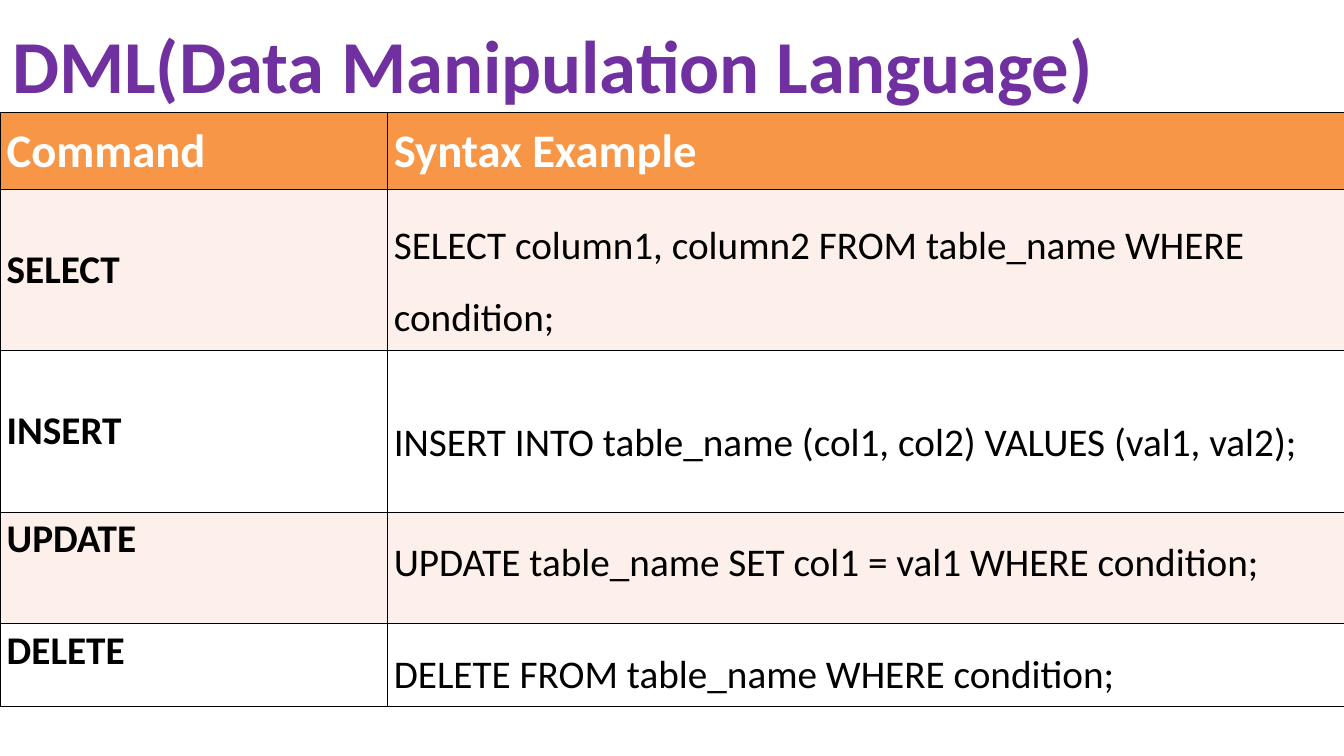
from dataclasses import dataclass

from lxml import etree
from pptx import Presentation
from pptx.dml.color import RGBColor
from pptx.enum.text import MSO_ANCHOR, MSO_AUTO_SIZE, PP_ALIGN
from pptx.oxml.ns import qn
from pptx.slide import Slide
from pptx.table import _Cell
from pptx.text.text import _Paragraph
from pptx.util import Inches, Pt

TOP, MIDDLE = MSO_ANCHOR.TOP, MSO_ANCHOR.MIDDLE
GROW = MSO_AUTO_SIZE.SHAPE_TO_FIT_TEXT
LEFT = PP_ALIGN.LEFT
TITLE_ONLY = 5
SIDES = ("a:lnL", "a:lnR", "a:lnT", "a:lnB")


@dataclass(frozen=True)
class Theme:
    font: str = "Calibri"
    title: str = "7030A0"
    header: str = "F79646"
    band: str = "FDEFE9"
    white: str = "FFFFFF"
    black: str = "000000"
    title_size: int = 80
    header_size: int = 50
    body_size: int = 42
    border: int = 1


@dataclass(frozen=True)
class Command:
    name: str
    syntax: str
    height: float
    anchor: MSO_ANCHOR


THEME = Theme()
HEADER = Command("Command", "Syntax Example", 1.14, MIDDLE)
COMMANDS = [
    Command("SELECT", "SELECT column1, column2 FROM table_name WHERE condition;", 2.4, MIDDLE),
    Command("INSERT", "INSERT INTO table_name (col1, col2) VALUES (val1, val2);", 2.4, MIDDLE),
    Command("UPDATE", "UPDATE table_name SET col1 = val1 WHERE condition;", 1.66, TOP),
    Command("DELETE", "DELETE FROM table_name WHERE condition;", 1.24, TOP),
]
COLUMN_WIDTHS = (5.76, 14.24)


def format_text(p: _Paragraph, size: int, color: str, bold: bool) -> None:
    p.alignment = LEFT
    for r in p.runs:
        r.font.name = THEME.font
        r.font.size = Pt(size)
        r.font.bold = bold
        r.font.color.rgb = RGBColor.from_string(color)


def set_borders(cell: _Cell) -> None:
    tc_pr = cell._tc.get_or_add_tcPr()
    for i, side in enumerate(SIDES):
        ln = etree.Element(qn(side), w=str(Pt(THEME.border)))
        fill = etree.SubElement(ln, qn("a:solidFill"))
        etree.SubElement(fill, qn("a:srgbClr"), val=THEME.black)
        tc_pr.insert(i, ln)


def fill_cell(cell: _Cell, text: str, anchor: MSO_ANCHOR, fill: str,
              size: int, color: str, bold: bool) -> None:
    cell.text_frame.text = text
    cell.vertical_anchor = anchor
    cell.fill.solid()
    cell.fill.fore_color.rgb = RGBColor.from_string(fill)
    p = cell.text_frame.paragraphs[0]
    if not bold:
        p.line_spacing = 1.5
    format_text(p, size, color, bold)
    set_borders(cell)


def add_title(s: Slide, text: str) -> None:
    sp = s.shapes.title
    sp.left, sp.top = Inches(0.08), Inches(0.23)
    sp.width, sp.height = Inches(18.84), Inches(1.45)
    tf = sp.text_frame
    tf.text = text
    tf.word_wrap = True
    tf.auto_size = GROW
    tf.vertical_anchor = TOP
    format_text(tf.paragraphs[0], THEME.title_size, THEME.title, True)


def add_command_table(s: Slide) -> None:
    rows = [HEADER, *COMMANDS]
    height = sum(row.height for row in rows)
    table = s.shapes.add_table(
        len(rows), len(COLUMN_WIDTHS), Inches(0), Inches(1.68),
        Inches(sum(COLUMN_WIDTHS)), Inches(height)).table
    for column, width in zip(table.columns, COLUMN_WIDTHS):
        column.width = Inches(width)
    for i, row in enumerate(rows):
        table.rows[i].height = Inches(row.height)
        is_header = i == 0
        if is_header:
            fill, size, color = THEME.header, THEME.header_size, THEME.white
        else:
            fill = THEME.band if i % 2 else THEME.white
            size, color = THEME.body_size, THEME.black
        for j, text in enumerate((row.name, row.syntax)):
            fill_cell(table.cell(i, j), text, row.anchor, fill, size, color,
                      is_header or j == 0)


def main() -> None:
    prs = Presentation()
    prs.slide_width, prs.slide_height = Inches(20), Inches(11.25)
    s = prs.slides.add_slide(prs.slide_layouts[TITLE_ONLY])
    add_command_table(s)
    add_title(s, "DML(Data Manipulation Language)")
    prs.save("out.pptx")


if __name__ == "__main__":
    main()
